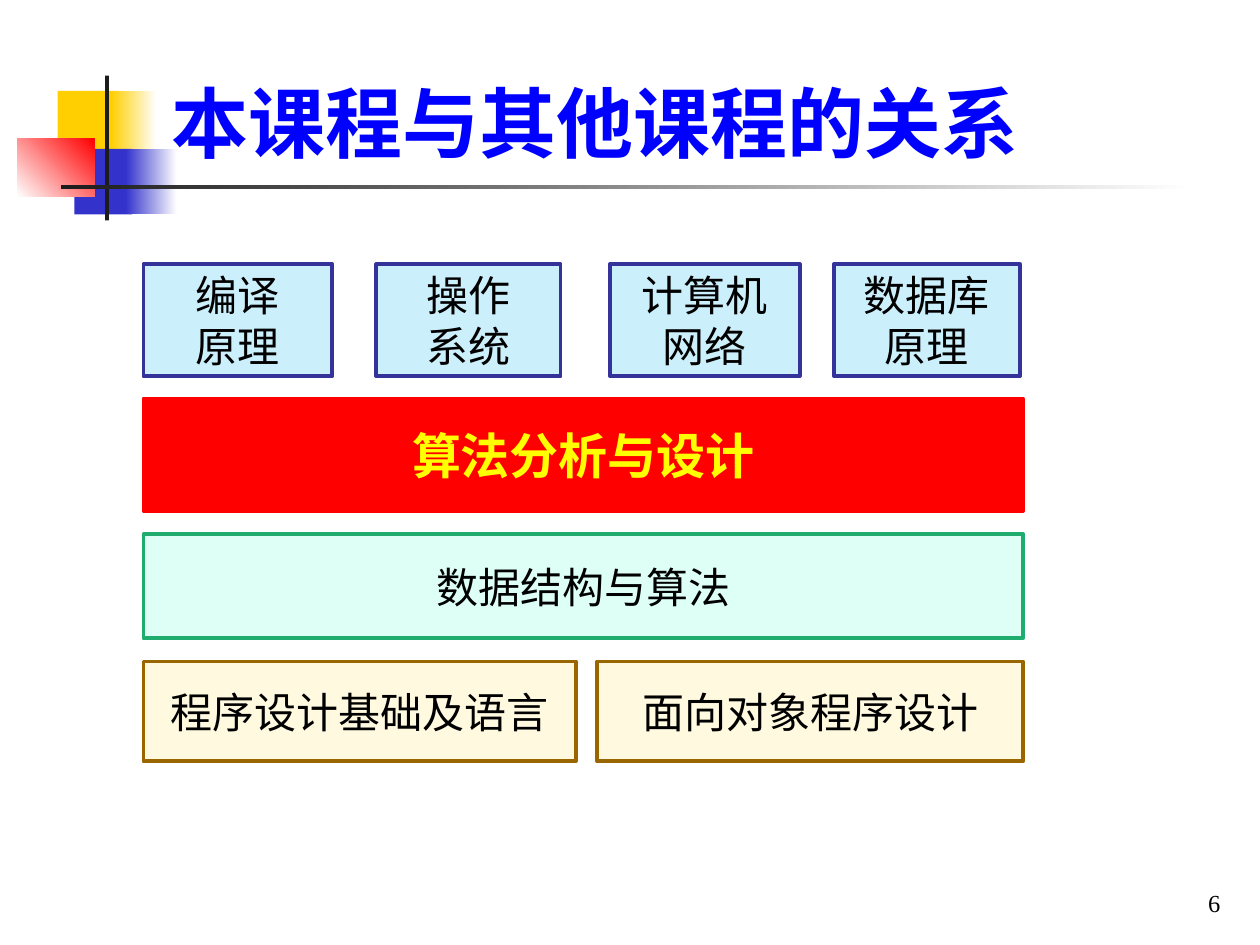
from lxml import etree
from pptx import Presentation, util as u
from pptx.dml.color import RGBColor
from pptx.enum import shapes, text
from pptx.oxml.ns import qn

Pt = u.Pt
SANS, SERIF = "Noto Sans CJK SC", "Times New Roman"


def rgb(code):
    return RGBColor.from_string(code)


def write(frame, words, size=24, font=SANS, color="000000", bold=False,
          align=text.PP_ALIGN.CENTER, anchor=text.MSO_ANCHOR.MIDDLE):
    """Fill a text frame; each line of words becomes a paragraph."""
    frame.word_wrap = True
    frame.auto_size = text.MSO_AUTO_SIZE.NONE
    frame.vertical_anchor = anchor
    frame.text = words
    for para in frame.paragraphs:
        para.alignment = align
        for run in para.runs:
            face = run.font
            face.name, face.size, face.bold = font, Pt(size), bold
            face.color.rgb = rgb(color)
            east = etree.SubElement(run._r.get_or_add_rPr(), qn("a:ea"))
            east.set("typeface", font)


class Deck:
    def __init__(self):
        self.show = Presentation()
        self.show.slide_width, self.show.slide_height = Pt(720), Pt(540)
        self.slide = self.show.slides.add_slide(self.show.slide_layouts[5])

    def rect(self, x, y, w, h):
        shape = self.slide.shapes.add_shape(
            shapes.MSO_SHAPE.RECTANGLE, Pt(x), Pt(y), Pt(w), Pt(h))
        shape.shadow.inherit = False
        shape.line.fill.background()
        return shape

    def block(self, x, y, w, h, color):
        fill = self.rect(x, y, w, h).fill
        fill.solid()
        fill.fore_color.rgb = rgb(color)

    def fade(self, x, y, w, h, start, end="FFFFFF", angle=0):
        fill = self.rect(x, y, w, h).fill
        fill.gradient()
        fill.gradient_angle = angle
        for stop, color in zip(fill.gradient_stops, (start, end)):
            stop.color.rgb = rgb(color)

    def course(self, x, y, w, h, words, back, edge, alpha=20, **style):
        shape = self.rect(x, y, w, h)
        shape.fill.solid()
        shape.fill.fore_color.rgb = rgb(back)
        if alpha < 100:
            tint = shape.fill._xPr.find(".//" + qn("a:srgbClr"))
            etree.SubElement(tint, qn("a:alpha")).set("val", str(alpha * 1000))
        shape.line.color.rgb = rgb(edge)
        shape.line.width = Pt(2.25)
        write(shape.text_frame, words, **style)

    def title(self, x, y, w, h, words, **style):
        head = self.slide.shapes.title
        head.left, head.top, head.width, head.height = map(Pt, (x, y, w, h))
        write(head.text_frame, words, **style)
        self.slide.shapes._spTree.append(head._element)  # above the ornament

    def label(self, x, y, w, h, words, **style):
        box = self.slide.shapes.add_textbox(Pt(x), Pt(y), Pt(w), Pt(h))
        write(box.text_frame, words, **style)


def main():
    deck = Deck()

    # Ornament: coloured squares and crossing rules
    deck.block(33, 52, 35, 37.5, "FFCF01")
    deck.fade(63.5, 52, 26, 37.5, "FFCF01")
    deck.block(42.5, 85, 33, 37.5, "3333CC")
    deck.fade(72, 85, 29, 37.5, "3333CC")
    deck.fade(10, 79, 44, 33.5, "FFFFFF", "FF0000", angle=45)
    deck.block(60, 43.2, 2.3, 82.8, "1C1C1C")
    deck.fade(34.8, 105.6, 648, 2.3, "1C1C1C")

    # Title and page number
    low = text.MSO_ANCHOR.BOTTOM
    deck.title(90.7, 16.5, 613.5, 83, "本课程与其他课程的关系", size=44,
               color="0000FF", bold=True, align=text.PP_ALIGN.LEFT, anchor=low)
    deck.label(554.5, 492, 150, 36, "6", size=14, font=SERIF,
               align=text.PP_ALIGN.RIGHT, anchor=low)

    # Course layers, from foundations up to applications
    left, full = 82, 502.6
    for x, w, name in ((left, 247, "程序设计基础及语言"),
                       (341.2, 243.4, "面向对象程序设计")):
        deck.course(x, 378, w, 57, name, "FFE267", "996600")
    deck.course(left, 305.2, full, 59.5, "数据结构与算法", "56FFD2", "20AC6F")
    deck.course(left, 227.8, full, 64.2, "算法分析与设计", "FF0000", "FF0000",
                alpha=100, size=28, color="FFFF00", bold=True)
    for x, w, name in ((left, 108, "编译\n原理"), (215, 105.3, "操作\n系统"),
                       (348.6, 108.4, "计算机网络"), (476.6, 106.2, "数据库原理")):
        deck.course(x, 151, w, 64, name, "00B0F0", "333399")

    deck.show.save("out.pptx")


if __name__ == "__main__":
    main()
